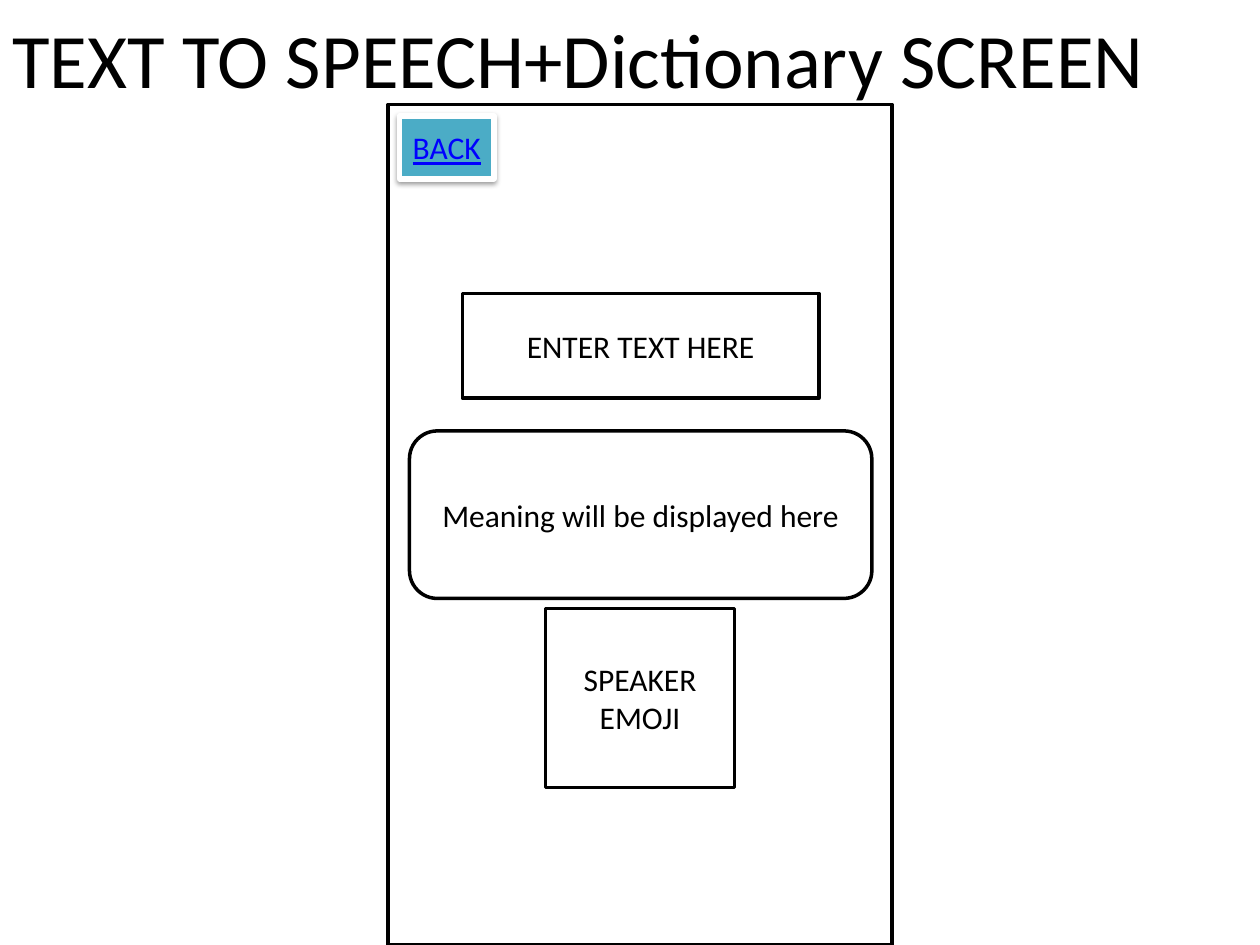
from dataclasses import dataclass

from lxml.etree import SubElement
from pptx import Presentation
from pptx.dml.color import RGBColor
from pptx.enum.shapes import MSO_SHAPE
from pptx.enum.text import MSO_ANCHOR, PP_ALIGN
from pptx.oxml.ns import qn
from pptx.util import Inches, Pt


@dataclass(frozen=True)
class Theme:
    """Colours, font and sizes of the slide."""
    font: str = "Calibri"
    ink: str = "000000"
    paper: str = "FFFFFF"
    button: str = "4BACC6"
    link: str = "0000FF"
    title_size: int = 44
    label_size: int = 18
    outline: int = 2
    button_outline: int = 3


THEME = Theme()


def write_lines(box, lines, size, color, align, underline=None):
    """Write one paragraph per line, centred vertically."""
    frame = box.text_frame
    frame.vertical_anchor = MSO_ANCHOR.MIDDLE
    for index, line in enumerate(lines):
        para = frame.add_paragraph() if index else frame.paragraphs[0]
        para.alignment = align
        span = para.add_run()
        span.text = line
        span.font.name = THEME.font
        span.font.size = Pt(size)
        span.font.underline = underline
        span.font.color.rgb = RGBColor.from_string(color)


def add_title(page, text):
    """Add the heading across the top of the page."""
    box = page.shapes.add_textbox(0, 0, Inches(10), Inches(0.92))
    box.text_frame.word_wrap = True
    write_lines(box, [text], THEME.title_size, THEME.ink, PP_ALIGN.LEFT)


def add_panel(page, kind, bounds, lines=(), fill=THEME.paper, line=THEME.ink,
              weight=THEME.outline, color=THEME.ink, underline=None):
    """Add an outlined shape with centred lines of text."""
    panel = page.shapes.add_shape(kind, *map(Inches, bounds))
    panel.shadow.inherit = False
    panel.fill.solid()
    panel.fill.fore_color.rgb = RGBColor.from_string(fill)
    panel.line.color.rgb = RGBColor.from_string(line)
    panel.line.width = Pt(weight)
    panel.text_frame.word_wrap = False
    write_lines(panel, lines, THEME.label_size, color, PP_ALIGN.CENTER, underline)
    return panel


def add_drop_shadow(shape):
    """Put a soft shadow below a shape."""
    effects = shape.element.spPr.find(qn("a:effectLst"))
    shadow = SubElement(effects, qn("a:outerShdw"), blurRad=str(Pt(3.1)),
                        dist=str(Pt(1.6)), dir="5400000", rotWithShape="0")
    color = SubElement(shadow, qn("a:srgbClr"), val=THEME.ink)
    SubElement(color, qn("a:alpha"), val="38000")


def main():
    """Build the screen mock-up and save it."""
    deck = Presentation()
    deck.slide_width, deck.slide_height = Inches(10), Inches(7.5)
    page = deck.slides.add_slide(deck.slide_layouts[6])

    add_title(page, "TEXT TO SPEECH+Dictionary SCREEN")
    add_panel(page, MSO_SHAPE.RECTANGLE, (3.08, 0.83, 4, 6.67))
    add_panel(page, MSO_SHAPE.RECTANGLE, (3.67, 2.33, 2.83, 0.83),
              ["ENTER TEXT HERE"])
    add_panel(page, MSO_SHAPE.RECTANGLE, (4.33, 4.83, 1.5, 1.42),
              ["SPEAKER", "EMOJI"])
    back = add_panel(page, MSO_SHAPE.ACTION_BUTTON_CUSTOM,
                     (3.17, 0.92, 0.75, 0.5), ["BACK"], fill=THEME.button,
                     line=THEME.paper, weight=THEME.button_outline,
                     color=THEME.link, underline=True)
    add_drop_shadow(back)
    add_panel(page, MSO_SHAPE.ROUNDED_RECTANGLE, (3.25, 3.42, 3.67, 1.33),
              ["Meaning will be displayed here"])

    deck.save("out.pptx")


main()
